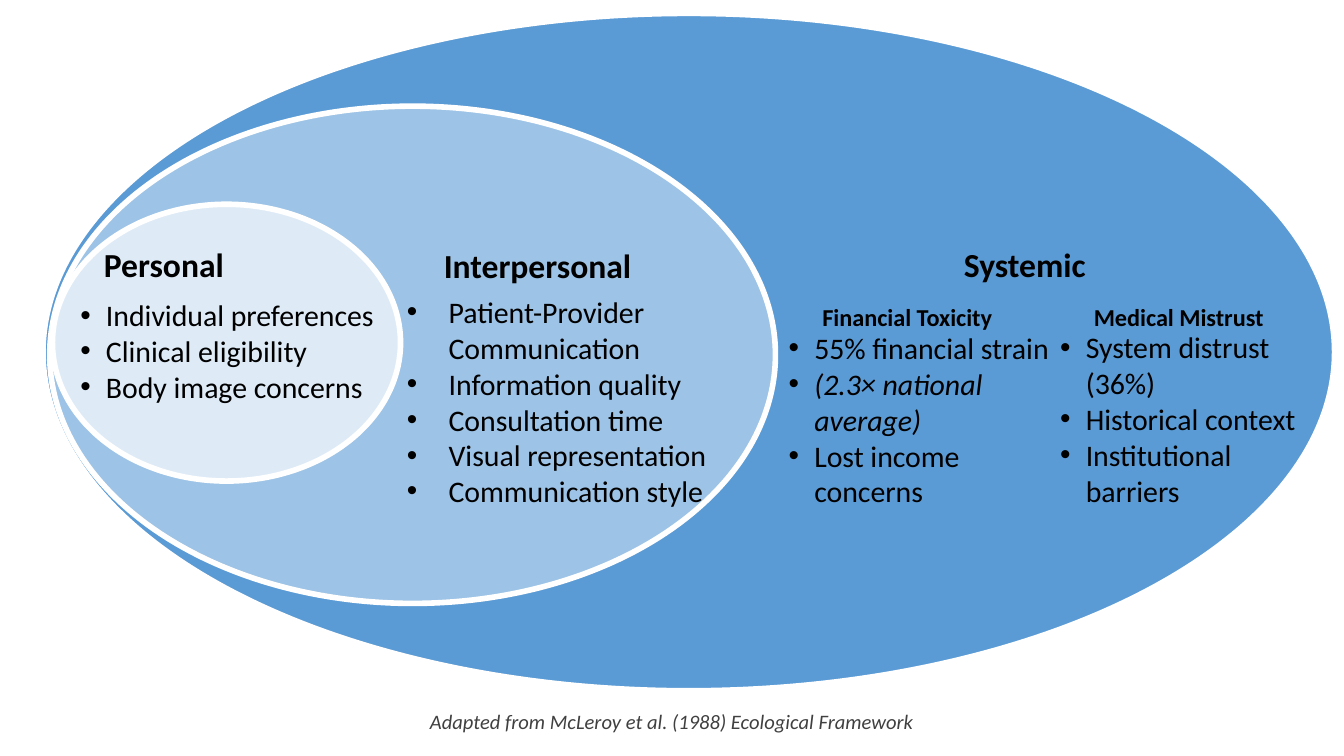
from lxml.etree import SubElement
from pptx import Presentation
from pptx.dml.color import RGBColor
from pptx.enum.shapes import MSO_SHAPE
from pptx.enum.text import MSO_ANCHOR, PP_ALIGN
from pptx.oxml.ns import qn
from pptx.util import Inches, Pt

COLORS = {
    "systemic": "5B9BD5",
    "interpersonal": "9DC3E6",
    "personal": "DEEBF7",
    "outline": "FFFFFF",
    "text": "000000",
    "source": "404040",
}

LEVELS = [
    ("systemic", (0.32, 0.1, 9.61, 5.04)),
    ("interpersonal", (0.37, 0.79, 5.4, 3.7)),
    ("personal", (0.39, 1.52, 2.59, 2.06)),
]

HEADING = {"size": Pt(18), "bold": True}
SUBHEADING = {"size": Pt(13), "bold": True}
BODY = {"size": Pt(16)}
SOURCE = {"size": Pt(11), "italic": True}

HEADINGS = [
    ("Personal", (0.5, 1.77, 1.44, 0.39), HEADING),
    ("Interpersonal", (2.83, 1.78, 2.34, 0.39), HEADING),
    ("Systemic", (6.33, 1.77, 2.59, 0.39), HEADING),
    ("Financial Toxicity", (5.64, 2.16, 2.22, 0.39), SUBHEADING),
    ("Medical Mistrust", (7.86, 2.16, 1.82, 0.39), SUBHEADING),
]

PERSONAL = ["Individual preferences", "Clinical eligibility", "Body image concerns"]
INTERPERSONAL = [
    "Patient-Provider Communication",
    "Information quality",
    "Consultation time",
    "Visual representation",
    "Communication style",
]
NATIONAL_AVERAGE = "(2.3× national average)"
FINANCIAL = ["55% financial strain", NATIONAL_AVERAGE, "Lost income concerns"]
MISTRUST = ["System distrust (36%)", "Historical context", "Institutional barriers"]


def add_level(slide, level, box):
    """Draw one nested ellipse of the framework."""
    ellipse = slide.shapes.add_shape(MSO_SHAPE.OVAL, *map(Inches, box))
    ellipse.shadow.inherit = False
    ellipse.fill.solid()
    ellipse.fill.fore_color.rgb = RGBColor.from_string(COLORS[level])
    ellipse.line.color.rgb = RGBColor.from_string(COLORS["outline"])
    ellipse.line.width = Pt(3)


def add_frame(slide, box):
    """Add an empty wrapped, vertically centred text frame."""
    frame = slide.shapes.add_textbox(*map(Inches, box)).text_frame
    frame.word_wrap = True
    frame.vertical_anchor = MSO_ANCHOR.MIDDLE
    return frame


def write(paragraph, text, style, color="text"):
    run = paragraph.add_run()
    run.text = text
    run.font.name = "Calibri"
    run.font.color.rgb = RGBColor.from_string(COLORS[color])
    for attribute, value in style.items():
        setattr(run.font, attribute, value)


def add_caption(slide, text, box, style, color="text"):
    """Add one centred line of text."""
    paragraph = add_frame(slide, box).paragraphs[0]
    paragraph.alignment = PP_ALIGN.CENTER
    write(paragraph, text, style, color)


def add_bullets(slide, items, box, indent=0.19):
    frame = add_frame(slide, box)
    for index, item in enumerate(items):
        paragraph = frame.add_paragraph() if index else frame.paragraphs[0]
        properties = paragraph._p.get_or_add_pPr()
        properties.set("marL", str(Inches(indent)))
        properties.set("indent", str(-Inches(indent)))
        SubElement(properties, qn("a:buFont")).set("typeface", "Arial")
        SubElement(properties, qn("a:buChar")).set("char", "•")
        write(paragraph, item, {**BODY, "italic": item == NATIONAL_AVERAGE})
    return frame


def main():
    presentation = Presentation()
    presentation.slide_width = Inches(10)
    presentation.slide_height = Inches(10 * 9 / 16)
    slide = presentation.slides.add_slide(presentation.slide_layouts[6])

    for level, box in LEVELS:
        add_level(slide, level, box)
    for text, box, style in HEADINGS:
        add_caption(slide, text, box, style)

    add_bullets(slide, PERSONAL, (0.5, 2.11, 2.43, 1))
    add_bullets(slide, INTERPERSONAL, (2.93, 1.96, 2.93, 2.05), indent=0.31)
    add_bullets(slide, FINANCIAL, (5.77, 2.62, 2.22, 1))
    mistrust = add_bullets(slide, MISTRUST, (7.79, 2.66, 2.21, 1.18))
    mistrust.margin_bottom = Inches(0.32)  # lifts the list level with its neighbour

    add_caption(slide, "Adapted from McLeroy et al. (1988) Ecological Framework",
                (0.5, 5.22, 9, 0.3), SOURCE, "source")
    presentation.save("out.pptx")


if __name__ == "__main__":
    main()
